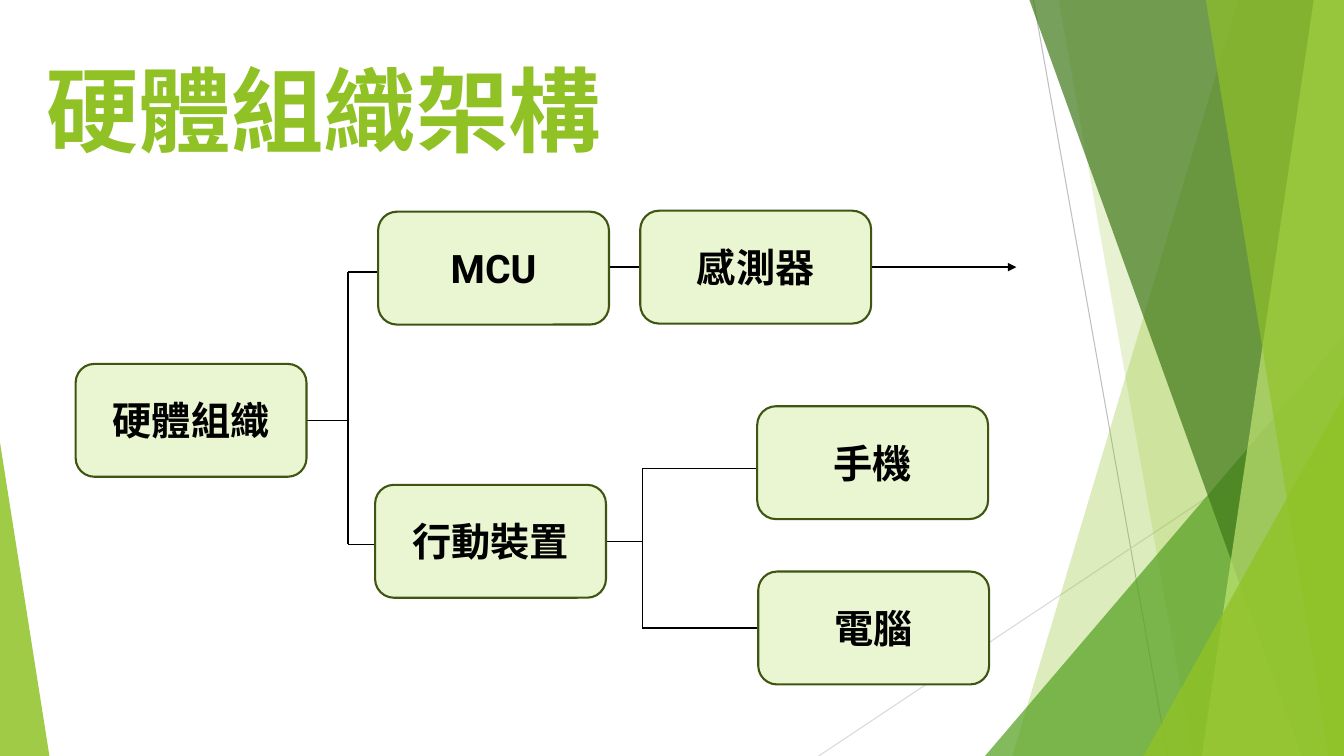
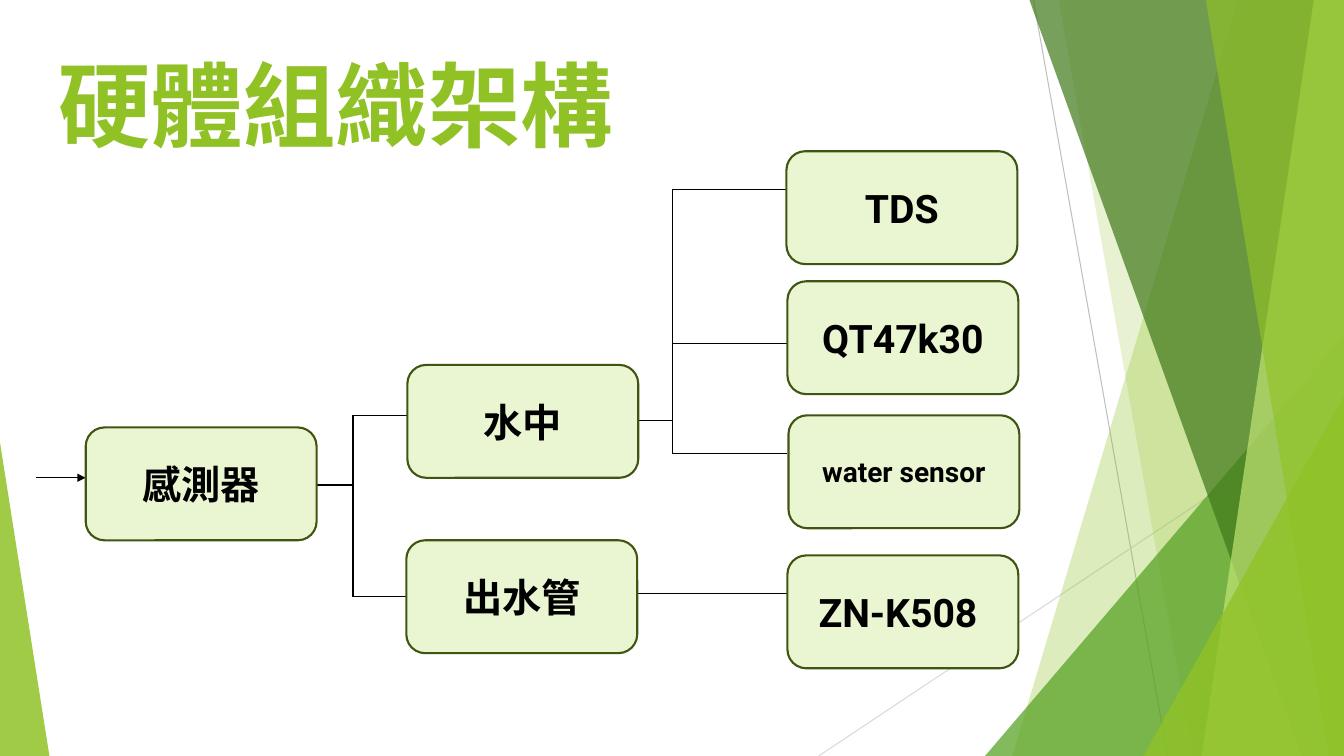
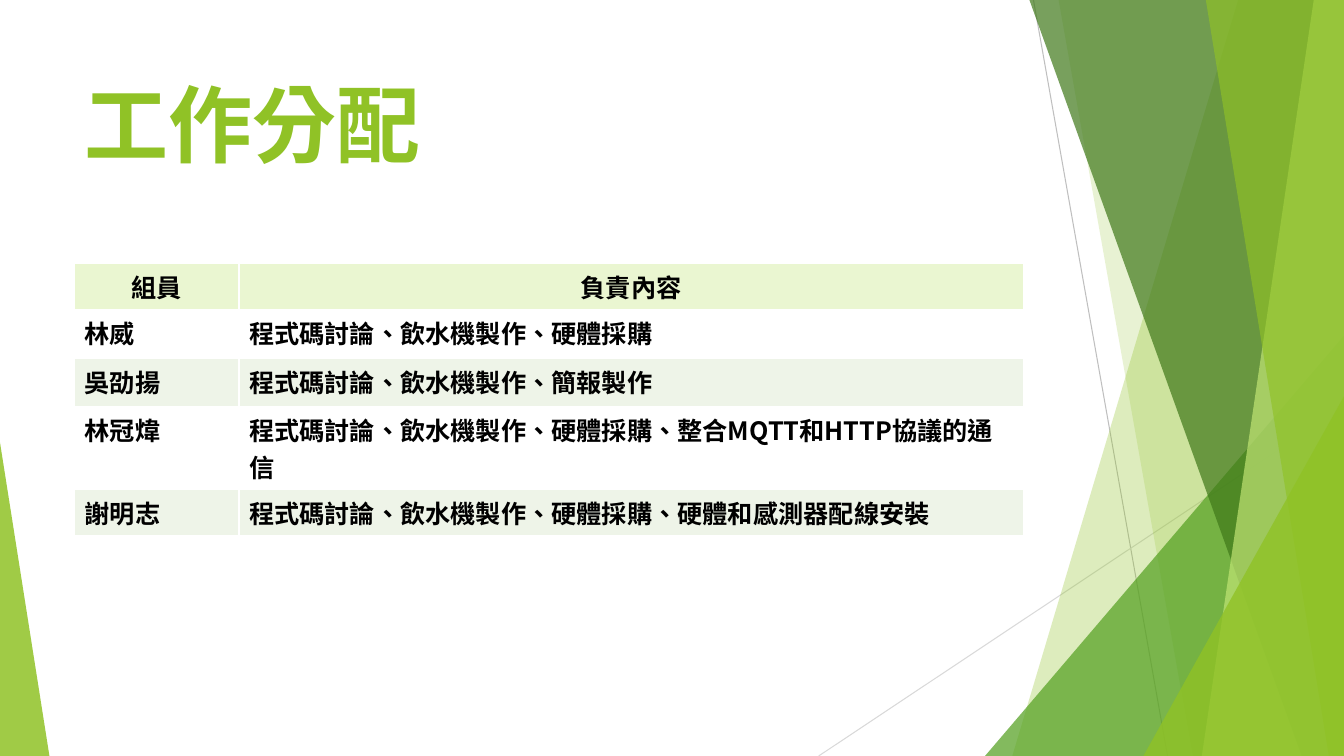
"""Build three slides on the hardware structure and the division of work."""
import pptx
import pptx.dml.color
import pptx.enum.shapes
import pptx.enum.text
import pptx.oxml
import pptx.oxml.ns
import pptx.util

Inches = pptx.util.Inches
Pt = pptx.util.Pt
SHAPE = pptx.enum.shapes.MSO_SHAPE
ALIGN = pptx.enum.text.PP_ALIGN
ANCHOR = pptx.enum.text.MSO_ANCHOR
qn = pptx.oxml.ns.qn

COLORS = {
    "green": "90C226",
    "leaf": "54A021",
    "forest": "3F7819",
    "lime": "C0E474",
    "pale": "EAF6D1",
    "stripe": "EEF4E8",
    "outline": "3F5511",
    "white": "FFFFFF",
    "black": "000000",
    "gray": "BFBFBF",
    "light_gray": "D9D9D9",
}
CJK = "Noto Sans CJK SC"
LATIN = "Roboto"
WIDTH, HEIGHT = 13.33, 7.5
BOX_W, BOX_H = 2.29, 1.12


def rgb(name):
    return pptx.dml.color.RGBColor.from_string(COLORS[name])


def sub(parent, tag, **attrs):
    el = pptx.oxml.parse_xml(f"<{tag} {pptx.oxml.ns.nsdecls('a')}/>")
    for key, value in attrs.items():
        el.set(key, value)
    parent.append(el)


def write(p, text, size, font=CJK, color="black", align=ALIGN.LEFT):
    p.text = text
    p.alignment = align
    p.font.size = Pt(size)
    p.font.bold = True
    p.font.name = font
    p.font.color.rgb = rgb(color)
    props = p._p.pPr.find(qn("a:defRPr"))
    props.set("lang", "zh-TW")
    sub(props, "a:ea", typeface=CJK)


def paint(shape, color, opacity=100):
    shape.shadow.inherit = False
    shape.fill.solid()
    shape.fill.fore_color.rgb = rgb(color)
    shape.line.fill.background()
    if opacity < 100:
        clr = shape._element.spPr.find(".//" + qn("a:srgbClr"))
        sub(clr, "a:alpha", val=str(opacity * 1000))


def add_line(s, x1, y1, x2, y2, color="black", width=1, arrow=False):
    line = s.shapes.add_connector(
        pptx.enum.shapes.MSO_CONNECTOR.STRAIGHT,
        Inches(x1), Inches(y1), Inches(x2), Inches(y2))
    line.line.color.rgb = rgb(color)
    line.line.width = Pt(width)
    if arrow:
        sub(line.line._get_or_add_ln(), "a:tailEnd", type="triangle")
    sub(line._element.spPr, "a:effectLst")
    return line


def add_band(s, top_x, bottom_x, color, opacity):
    points = [(top_x, 0), (WIDTH, 0), (WIDTH, HEIGHT), (bottom_x, HEIGHT)]
    points = [(Inches(x), Inches(y)) for x, y in points]
    builder = s.shapes.build_freeform(*points[0])
    builder.add_line_segments(points[1:], close=True)
    band = builder.convert_to_shape()
    paint(band, color, opacity)
    return band


def add_corner(s, left, top, width, apex, color, opacity):
    corner = s.shapes.add_shape(
        SHAPE.ISOSCELES_TRIANGLE, Inches(left), Inches(top),
        Inches(width), Inches(HEIGHT - top))
    corner.adjustments[0] = apex
    paint(corner, color, opacity)
    return corner


def decorate(layout, s):
    for ph in list(layout.placeholders)[1:]:
        ph._element.getparent().remove(ph._element)
    parts = [
        add_line(s, 10.25, 0, 11.58, HEIGHT, "gray", 0.75),
        add_line(s, WIDTH, 4.03, 8.12, HEIGHT, "light_gray", 0.75),
        add_band(s, 12.28, 10.04, "green", 30),
        add_band(s, 10.5, 11.83, "green", 20),
        add_corner(s, 9.77, 3.33, 3.56, 1, "leaf", 72),
        add_band(s, 10.21, 12.91, "forest", 70),
        add_band(s, 13.03, 11.92, "lime", 70),
        add_band(s, 11.96, 13.18, "green", 65),
        add_corner(s, 11.34, 3.93, 1.99, 1, "green", 80),
        add_corner(s, 0, 4.39, 0.49, 0, "green", 85),
    ]
    for part in parts:
        layout.shapes.element.append(part._element)


def set_title(s, text, left, top, width, height, size):
    title = s.shapes.title
    title.left, title.top = Inches(left), Inches(top)
    title.width, title.height = Inches(width), Inches(height)
    tf = title.text_frame
    tf.auto_size = pptx.enum.text.MSO_AUTO_SIZE.NONE
    tf.vertical_anchor = ANCHOR.TOP
    write(tf.paragraphs[0], text, size, color="green")


def add_box(s, text, left, top, size=28):
    box = s.shapes.add_shape(
        SHAPE.ROUNDED_RECTANGLE, Inches(left), Inches(top),
        Inches(BOX_W), Inches(BOX_H))
    paint(box, "pale")
    box.line.color.rgb = rgb("outline")
    box.line.width = Pt(1.5)
    tf = box.text_frame
    tf.word_wrap = True
    tf.vertical_anchor = ANCHOR.MIDDLE
    write(tf.paragraphs[0], text, size, LATIN, align=ALIGN.CENTER)


def add_fork(s, left, y, spine, right, branch_ys):
    add_line(s, left, y, spine, y)
    add_line(s, spine, min(branch_ys), spine, max(branch_ys))
    for branch_y in branch_ys:
        add_line(s, spine, branch_y, right, branch_y)


def add_table(s, left, top, widths, heights, rows):
    table = s.shapes.add_table(
        len(rows), len(widths), Inches(left), Inches(top),
        Inches(sum(widths)), Inches(sum(heights))).table
    for col, width in zip(table.columns, widths):
        col.width = Inches(width)
    for i, (row, height, texts) in enumerate(zip(table.rows, heights, rows)):
        row.height = Inches(height)
        fill = "pale" if i == 0 else "white" if i % 2 else "stripe"
        for cell, text in zip(row.cells, texts):
            cell.fill.solid()
            cell.fill.fore_color.rgb = rgb(fill)
            write(cell.text_frame.paragraphs[0], text, 18,
                  align=ALIGN.LEFT if i else ALIGN.CENTER)


def hardware_slide(s):
    set_title(s, "硬體組織架構", 0.36, 0.48, 6.16, 1.23, 66)
    add_fork(s, 3.04, 4.17, 3.45, 3.74, [2.7, 5.4])
    add_fork(s, 6.01, 5.37, 6.37, 7.51, [4.65, 6.23])
    add_line(s, 6.04, 2.65, 6.35, 2.65)
    add_line(s, 8.64, 2.65, 10.08, 2.65, arrow=True)
    for text, left, top in [
        ("硬體組織", 0.75, 3.61),
        ("MCU", 3.75, 2.1),
        ("行動裝置", 3.72, 4.81),
        ("感測器", 6.35, 2.09),
        ("手機", 7.51, 4.03),
        ("電腦", 7.52, 5.67),
    ]:
        add_box(s, text, left, top)


def sensor_slide(s):
    set_title(s, "硬體組織架構", 0.48, 0.43, 9.4, 1.44, 66)
    add_fork(s, 3.14, 4.81, 3.5, 4.04, [4.12, 5.92])
    add_fork(s, 6.33, 4.17, 6.67, 7.81, [1.88, 3.41, 4.5])
    add_line(s, 6.32, 5.89, 7.81, 5.89)
    add_line(s, 0.36, 4.74, 0.85, 4.74, arrow=True)
    for text, left, top, size in [
        ("感測器", 0.85, 4.24, 28),
        ("水中", 4.04, 3.62, 28),
        ("出水管", 4.03, 5.36, 28),
        ("TDS", 7.8, 1.5, 28),
        ("QT47k30", 7.81, 2.79, 28),
        ("water sensor", 7.82, 4.12, 20),
        ("ZN-K508 ", 7.81, 5.51, 28),
    ]:
        add_box(s, text, left, top, size)


def work_slide(s):
    set_title(s, "工作分配", 0.74, 0.67, 9.4, 1.44, 60)
    add_table(s, 0.74, 2.61, [1.63, 7.78], [0.42, 0.48, 0.48, 0.49, 0.42], [
        ("組員", "負責內容"),
        ("林威", "程式碼討論、飲水機製作、硬體採購"),
        ("吳劭揚", "程式碼討論、飲水機製作、簡報製作"),
        ("林冠煒", "程式碼討論、飲水機製作、硬體採購、整合MQTT和HTTP協議的通信"),
        ("謝明志", "程式碼討論、飲水機製作、硬體採購、硬體和感測器配線安裝"),
    ])


def main():
    prs = pptx.Presentation()
    prs.slide_width, prs.slide_height = Inches(WIDTH), Inches(HEIGHT)
    layout = prs.slide_layouts[5]
    slides = [prs.slides.add_slide(layout) for _ in range(3)]
    decorate(layout, slides[0])
    for build, s in zip([hardware_slide, sensor_slide, work_slide], slides):
        build(s)
    prs.save("out.pptx")


if __name__ == "__main__":
    main()
